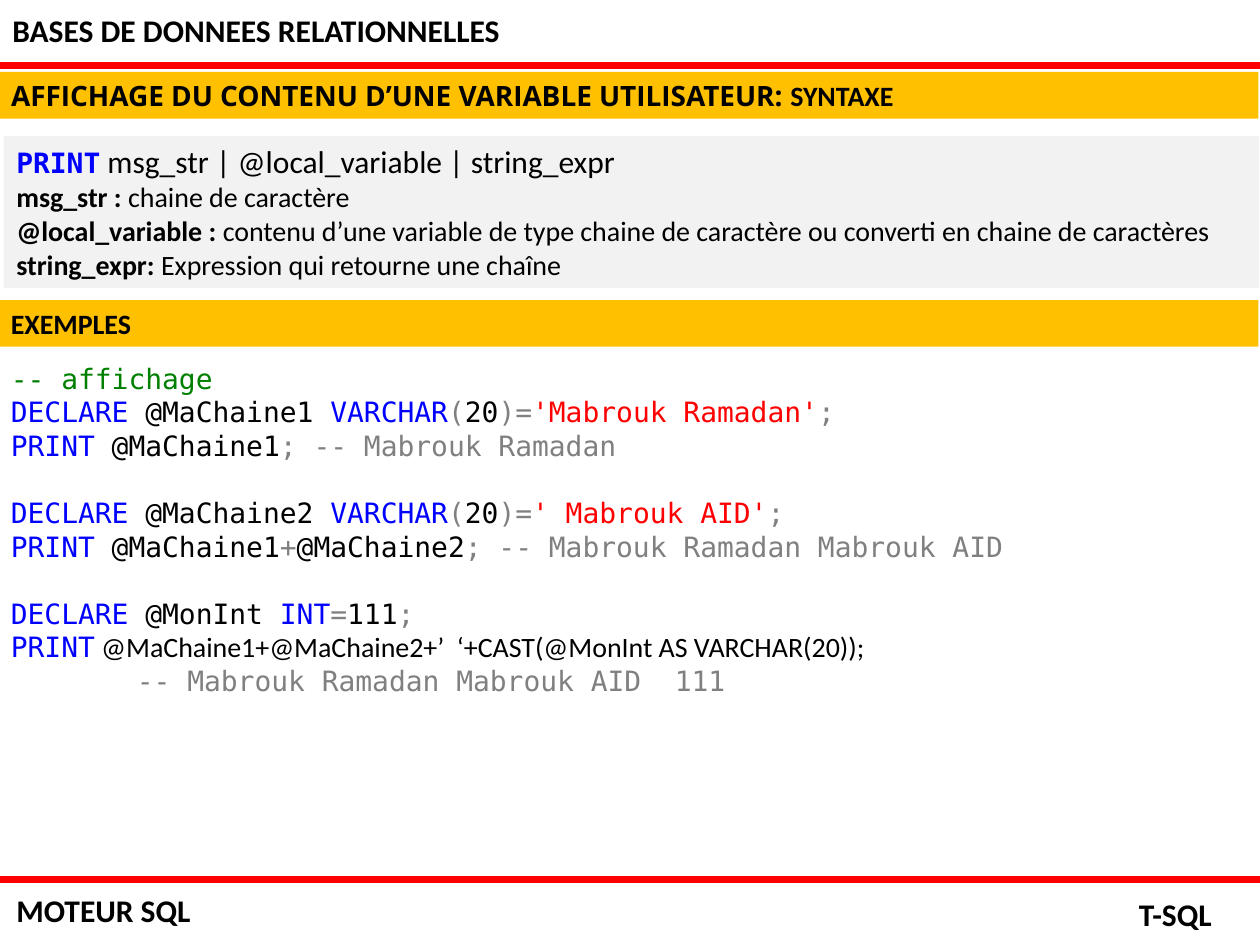
from pptx import Presentation
from pptx.dml.color import RGBColor
from pptx.enum.shapes import MSO_CONNECTOR, MSO_SHAPE
from pptx.enum.text import MSO_ANCHOR, MSO_AUTO_SIZE, PP_ALIGN
from pptx.oxml.ns import qn
from pptx.util import Cm, Pt
from lxml import etree

COLORS = {"black": "000000", "red": "FF0000", "blue": "0000FF",
          "green": "008000", "gray": "808080", "amber": "FFC000",
          "pale": "F2F2F2"}
SANS, MONO, HEAD = "Calibri", "DejaVu Sans Mono", "Open Sans"

# Run styles: font, size, colour, bold
STYLES = {
    "label": (SANS, 18, "black", True),
    "head": (HEAD, 16, "black", True),
    "term": (SANS, 16, "black", True),
    "def": (SANS, 16, "black", False),
    "syntax": (SANS, 18, "black", False),
    "command": (MONO, 16, "blue", True),
    "kw": (MONO, 16, "blue", False),
    "id": (MONO, 16, "black", False),
    "op": (MONO, 16, "gray", False),
    "str": (MONO, 16, "red", False),
    "note": (MONO, 16, "green", False),
}

# Content: each paragraph is a list of (text, style)
LABELS = [  # text, left, top, width
    ("BASES DE DONNEES RELATIONNELLES", 0, 0.1, 10.44),
    ("MOTEUR SQL", 0.08, 17.83, 3.68),
    ("T-SQL", 22.71, 17.91, 2.03),
]
TITLE = [[("AFFICHAGE DU CONTENU D’UNE VARIABLE UTILISATEUR: ", "head"),
          ("SYNTAXE", "term")]]
EXAMPLES = [[("EXEMPLES", "term")]]
SYNTAX = [
    [("PRINT", "command"),
     (" msg_str | @local_variable | string_expr", "syntax")],
    [("msg_str : ", "term"), ("chaine de caractère", "def")],
    [("@local_variable : ", "term"),
     ("contenu d’une variable de type chaine de caractère ou converti "
      "en chaine de caractères", "def")],
    [("string_expr: ", "term"), ("Expression qui retourne une chaîne", "def")],
]


def declare_text(name, value):
    return [("DECLARE", "kw"), (f" {name} ", "id"), ("VARCHAR", "kw"),
            ("(", "op"), ("20", "id"), (")=", "op"), (value, "str"),
            (";", "op")]


CODE = [
    [("-- affichage", "note")],
    declare_text("@MaChaine1", "'Mabrouk Ramadan'"),
    [("PRINT", "kw"), (" @MaChaine1", "id"), ("; -- Mabrouk Ramadan", "op")],
    declare_text("@MaChaine2", "' Mabrouk AID'"),
    [("PRINT", "kw"), (" @MaChaine1", "id"), ("+", "op"),
     ("@MaChaine2", "id"), ("; -- Mabrouk Ramadan Mabrouk AID", "op")],
    [("DECLARE", "kw"), (" @MonInt ", "id"), ("INT", "kw"), ("=", "op"),
     ("111", "id"), (";", "op")],
    [("PRINT", "kw"),
     (" @MaChaine1+@MaChaine2+’  ‘+CAST(@MonInt AS VARCHAR(20));", "def")],
    [("-- Mabrouk Ramadan Mabrouk AID  111", "op")],
]
BLOCK_STARTS = (3, 5)  # code paragraphs set off by one line
RESULT_LINE = 7        # indented code paragraph


def rgb(name):
    return RGBColor.from_string(COLORS[name])


def write(sp, paragraphs, wrap=True):
    tf = sp.text_frame
    tf.word_wrap = wrap
    tf.auto_size = MSO_AUTO_SIZE.NONE
    tf.vertical_anchor = MSO_ANCHOR.TOP
    for i, runs in enumerate(paragraphs):
        p = tf.paragraphs[0] if i == 0 else tf.add_paragraph()
        p.alignment = PP_ALIGN.LEFT
        for text, style in runs:
            r = p.add_run()
            r.text = text
            name, size, color, bold = STYLES[style]
            r.font.name, r.font.size, r.font.bold = name, Pt(size), bold
            r.font.color.rgb = rgb(color)
    return tf


def place(sp, left, top, width, height):
    sp.left, sp.top, sp.width, sp.height = map(Cm, (left, top, width, height))


def fill(sp, color):
    sp.fill.solid()
    sp.fill.fore_color.rgb = rgb(color)
    sp.line.fill.background()


def add_band(slide, paragraphs, color, box):
    sp = slide.shapes.add_shape(MSO_SHAPE.RECTANGLE, *map(Cm, box))
    sp.shadow.inherit = False
    fill(sp, color)
    write(sp, paragraphs)


def main():
    prs = Presentation()
    prs.slide_width, prs.slide_height = Cm(25.4), Cm(19.05)
    slide = prs.slides.add_slide(prs.slide_layouts[5])

    # Header and footer rules
    for y in (1.32, 17.73):
        line = slide.shapes.add_connector(
            MSO_CONNECTOR.STRAIGHT, 0, Cm(y), prs.slide_width, Cm(y))
        line.line.color.rgb = rgb("red")
        line.line.width = Pt(4.5)
        etree.SubElement(line._element.spPr, qn("a:effectLst"))

    # Header and footer labels
    for text, left, top, width in LABELS:
        sp = slide.shapes.add_textbox(*map(Cm, (left, top, width, 1.02)))
        write(sp, [[(text, "label")]], wrap=False)

    # Title band, syntax panel, examples band
    title = slide.shapes.title
    place(title, -0.03, 1.45, 25.4, 0.94)
    fill(title, "amber")
    write(title, TITLE)
    add_band(slide, SYNTAX, "pale", (0.08, 2.74, 25.3, 3.07))
    add_band(slide, EXAMPLES, "amber", (-0.03, 6.05, 25.4, 0.94))

    # Code
    sp = slide.shapes.add_textbox(*map(Cm, (-0.03, 7.16, 25.4, 7.09)))
    tf = write(sp, CODE)
    for i in BLOCK_STARTS:
        tf.paragraphs[i].space_before = Pt(19.2)
    tf.paragraphs[RESULT_LINE]._p.get_or_add_pPr().set("marL", str(Cm(2.54)))

    prs.save("out.pptx")


if __name__ == "__main__":
    main()
